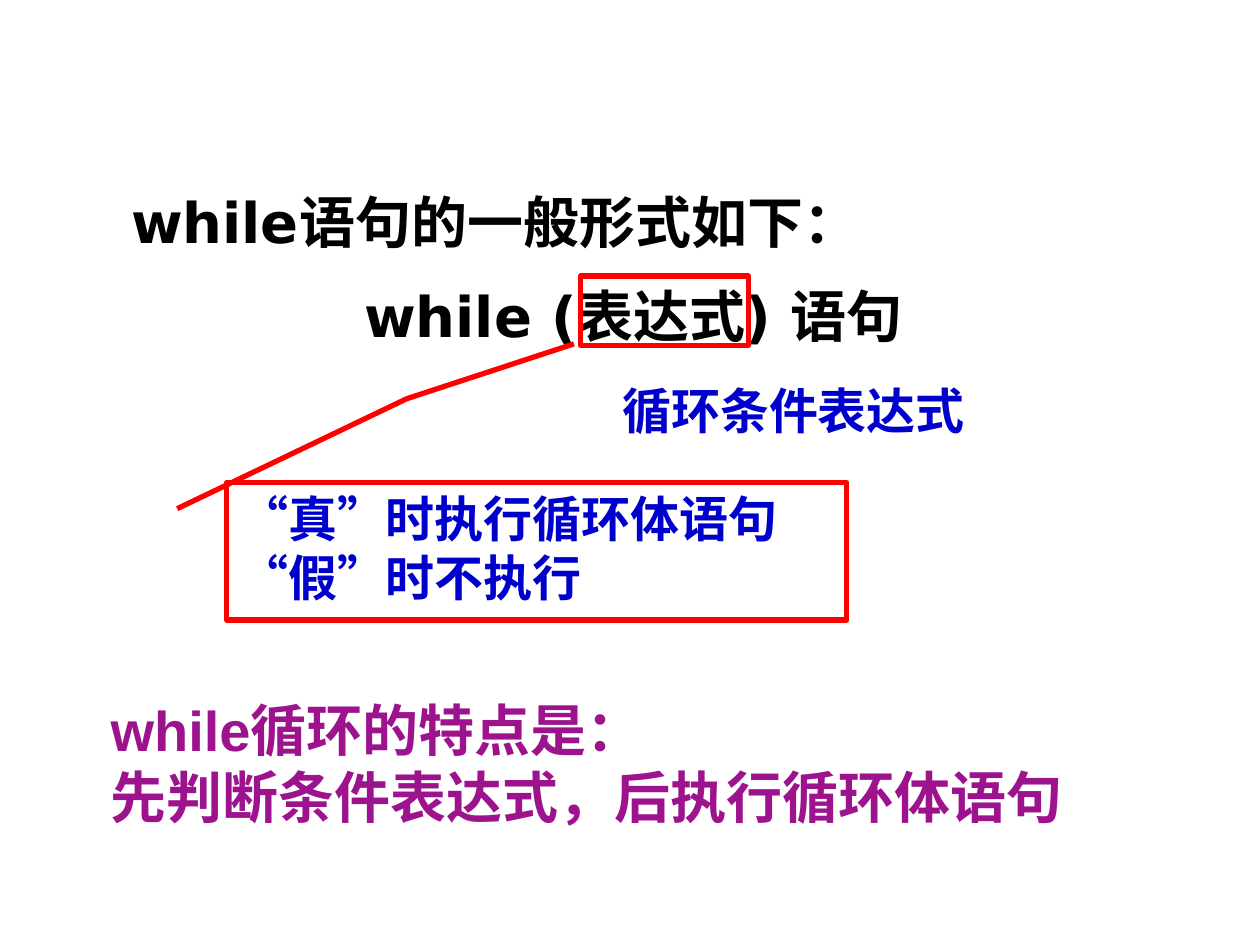
from dataclasses import dataclass

from lxml.etree import SubElement
from pptx import Presentation
from pptx.dml.color import RGBColor
from pptx.enum.shapes import MSO_SHAPE
from pptx.enum.text import MSO_ANCHOR, MSO_AUTO_SIZE, PP_ALIGN
from pptx.oxml.ns import qn
from pptx.util import Inches, Pt


@dataclass(frozen=True)
class Theme:
    code_font: str = "DejaVu Sans"
    note_font: str = "Arial"
    heading_size: int = 32
    note_size: int = 28
    black: str = "000000"
    blue: str = "0000CC"
    purple: str = "9D138D"
    red: str = "FF0000"
    white: str = "FFFFFF"
    outline: int = 3


def write_text(frame, lines, *, font, size, color, line_spacing=None, space_before=None):
    for index, line in enumerate(lines):
        paragraph = frame.paragraphs[0] if index == 0 else frame.add_paragraph()
        paragraph.alignment = PP_ALIGN.LEFT
        paragraph.line_spacing = line_spacing
        if space_before is not None:
            paragraph.space_before = Pt(space_before)
        run = paragraph.add_run()
        run.text = line
        run.font.name = font
        run.font.size = Pt(size)
        run.font.bold = True
        run.font.color.rgb = RGBColor.from_string(color)


class SlideBuilder:
    def __init__(self, slide, theme):
        self.slide = slide
        self.theme = theme

    def body(self, box, lines, indents):
        placeholder = self.slide.placeholders[1]
        placeholder.left, placeholder.top, placeholder.width, placeholder.height = map(Inches, box)
        frame = placeholder.text_frame
        frame.auto_size = MSO_AUTO_SIZE.NONE
        write_text(frame, lines, font=self.theme.code_font, size=self.theme.heading_size,
                   color=self.theme.black, line_spacing=1.2, space_before=8)
        for paragraph, indent in zip(frame.paragraphs, indents):
            properties = paragraph._p.get_or_add_pPr()
            properties.set("marL", str(Inches(indent)))
            properties.set("indent", "0")
            SubElement(properties, qn("a:buNone"))

    def outlined(self, kind, box, fill=None):
        shape = self.slide.shapes.add_shape(kind, *map(Inches, box))
        shape.shadow.inherit = False
        shape.line.color.rgb = RGBColor.from_string(self.theme.red)
        shape.line.width = Pt(self.theme.outline)
        if fill:
            shape.fill.solid()
            shape.fill.fore_color.rgb = RGBColor.from_string(fill)
        else:
            shape.fill.background()
        return shape

    def callout(self, box, lines, pointer):
        callout = self.outlined(MSO_SHAPE.LINE_CALLOUT_2, box, self.theme.white)
        for index, value in enumerate(pointer):
            callout.adjustments[index] = value
        frame = callout.text_frame
        frame.word_wrap = False
        frame.vertical_anchor = MSO_ANCHOR.TOP
        write_text(frame, lines, font=self.theme.note_font, size=self.theme.note_size,
                   color=self.theme.blue)

    def note(self, box, lines, size, color):
        frame = self.slide.shapes.add_textbox(*map(Inches, box)).text_frame
        frame.word_wrap = True
        frame.auto_size = MSO_AUTO_SIZE.SHAPE_TO_FIT_TEXT
        write_text(frame, lines, font=self.theme.note_font, size=size, color=color)


def main():
    theme = Theme()
    presentation = Presentation()
    presentation.slide_width = Inches(10)
    presentation.slide_height = Inches(7.5)
    slide = presentation.slides.add_slide(presentation.slide_layouts[1])
    unused_title = slide.shapes.title.element
    unused_title.getparent().remove(unused_title)

    builder = SlideBuilder(slide, theme)
    builder.body((0.78, 1.33, 8.52, 1.8),
                 ["while语句的一般形式如下：", "while (表达式) 语句"], indents=(0.16, 2.01))
    builder.outlined(MSO_SHAPE.RECTANGLE, (4.61, 2.19, 1.33, 0.55))
    builder.callout((1.8, 3.83, 4.92, 1.09),
                    ["“真”时执行循环体语句", "“假”时不执行"],
                    pointer=(0.19, -0.08, -0.61, 0.29, -1.01, 0.56))
    builder.note((4.84, 2.97, 3.28, 0.57), ["循环条件表达式"], theme.note_size, theme.blue)
    builder.note((0.78, 5.47, 8.13, 1.17),
                 ["while循环的特点是：", "先判断条件表达式，后执行循环体语句"],
                 theme.heading_size, theme.purple)
    presentation.save("out.pptx")


if __name__ == "__main__":
    main()
